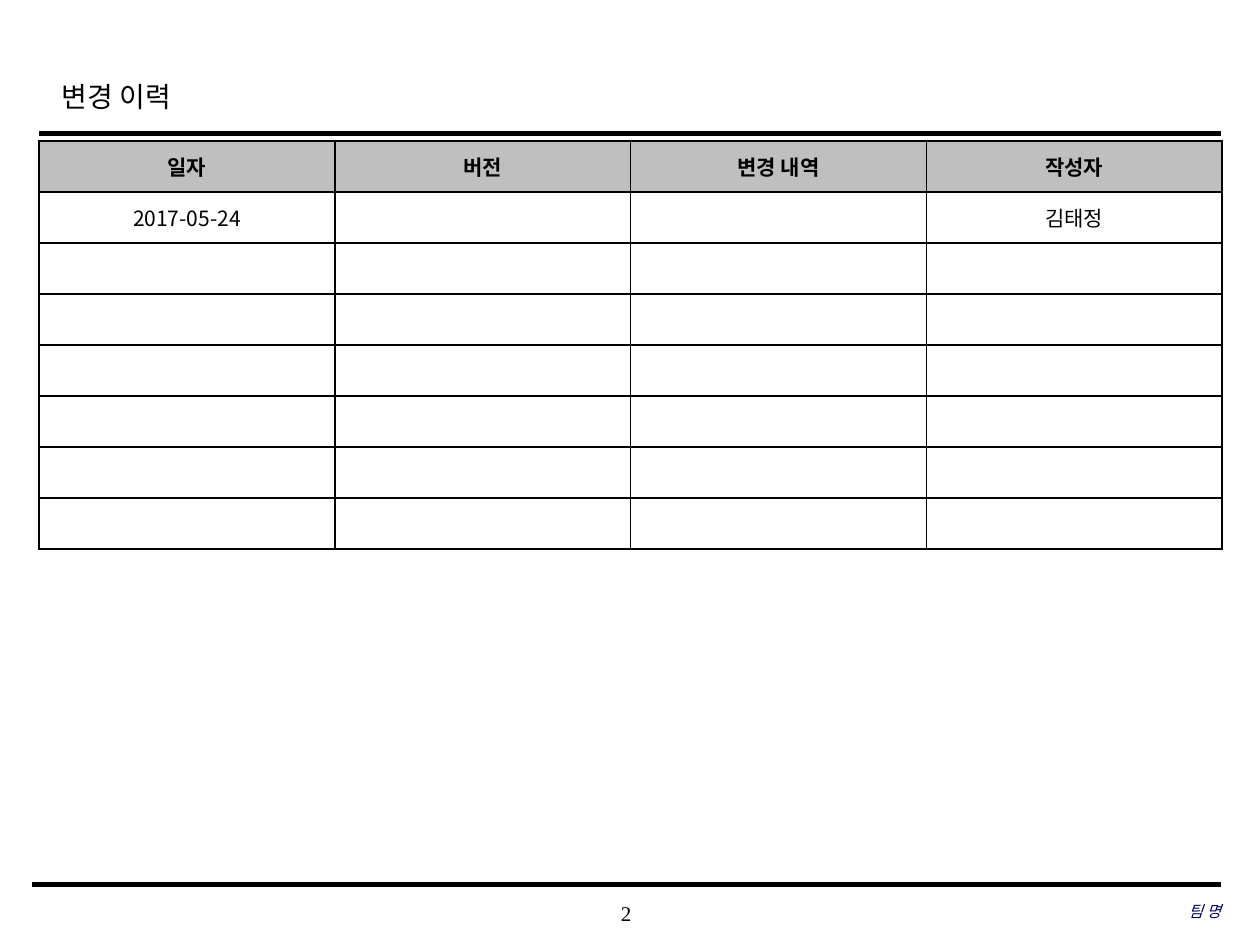
import pptx
import pptx.util
import pptx.dml.color
import pptx.enum.text
import pptx.enum.shapes
import pptx.oxml.ns
import lxml.etree

Inches = pptx.util.Inches
Pt = pptx.util.Pt
RGBColor = pptx.dml.color.RGBColor
Align = pptx.enum.text.PP_ALIGN
Middle = pptx.enum.text.MSO_ANCHOR.MIDDLE
qn = pptx.oxml.ns.qn

BLACK = RGBColor(0, 0, 0)
WHITE = RGBColor(255, 255, 255)
GREY = RGBColor(0xBF, 0xBF, 0xBF)
NAVY = RGBColor(0, 0, 0x66)
SERIF = "Times New Roman"
SANS = "Noto Sans CJK KR"

HEADS = ["일자", "버전", "변경 내역", "작성자"]
LOG = [["2017-05-24", "", "", "김태정"]]
ROWS = 8


def add_run(para, text, size, face=SERIF, color=BLACK, bold=False, italic=False):
    """Add one styled run, with the sans face for Korean letters."""
    run = para.add_run()
    run.text = text
    font = run.font
    font.size, font.name = Pt(size), face
    font.bold, font.italic = bold, italic
    font.color.rgb = color
    east = lxml.etree.Element(qn("a:ea"), typeface=SANS)
    run.font._element.find(qn("a:latin")).addnext(east)


def add_rule(slide, left, top, right, width):
    """Draw a black level line."""
    kind = pptx.enum.shapes.MSO_CONNECTOR.STRAIGHT
    rule = slide.shapes.add_connector(
        kind, Inches(left), Inches(top), Inches(right), Inches(top))
    rule.line.color.rgb = BLACK
    rule.line.width = Pt(width)
    lxml.etree.SubElement(rule._element.spPr, qn("a:effectLst"))


def add_title(slide, left, top, width, height):
    """Place the title with the rule under it."""
    title = slide.shapes.title
    title.left, title.top = Inches(left), Inches(top)
    title.width, title.height = Inches(width), Inches(height)
    frame = title.text_frame
    frame.auto_size = pptx.enum.text.MSO_AUTO_SIZE.NONE
    frame.vertical_anchor = Middle
    para = frame.paragraphs[0]
    para.alignment = Align.LEFT
    para.line_spacing = 1.2
    add_run(para, "변경 이력", 16)
    add_rule(slide, 0.31, top + 0.57, 9.69, 2.5)


def add_edges(cell):
    """Give a cell thin black borders."""
    props = cell._tc.get_or_add_tcPr()
    for side in ("lnL", "lnR", "lnT", "lnB"):
        edge = lxml.etree.SubElement(props, qn("a:" + side), w=str(Pt(1)))
        fill = lxml.etree.SubElement(edge, qn("a:solidFill"))
        lxml.etree.SubElement(fill, qn("a:srgbClr"), val=str(BLACK))


def add_log(slide, left, top, width, height):
    """Place the table of changes."""
    table = slide.shapes.add_table(
        ROWS, len(HEADS), Inches(left), Inches(top),
        Inches(width), Inches(height)).table
    blank = [[""] * len(HEADS)] * (ROWS - 1 - len(LOG))
    for i, texts in enumerate([HEADS] + LOG + blank):
        for j, text in enumerate(texts):
            cell = table.cell(i, j)
            add_edges(cell)
            cell.fill.solid()
            cell.fill.fore_color.rgb = WHITE if i else GREY
            cell.vertical_anchor = Middle
            cell.margin_top = cell.margin_bottom = Inches(0.03)
            para = cell.text_frame.paragraphs[0]
            para.alignment = Align.CENTER
            if text:
                add_run(para, text, 12, SANS, bold=i == 0)


def add_note(slide, left, top, width, height, align):
    """Add a text box without insets and return its paragraph."""
    box = slide.shapes.add_textbox(
        Inches(left), Inches(top), Inches(width), Inches(height))
    frame = box.text_frame
    frame.word_wrap = True
    frame.vertical_anchor = Middle
    frame.margin_left = frame.margin_right = 0
    frame.margin_top = frame.margin_bottom = 0
    para = frame.paragraphs[0]
    para.alignment = align
    return para


def add_foot(slide, left, top, width, height):
    """Place the bottom rule, page number and team name."""
    right = left + width
    add_rule(slide, left, top, right, 3)
    page = add_note(slide, 3.93, top + 0.06, 2.08, height, Align.CENTER)
    add_run(page, "2", 12)
    team = add_note(slide, right - 3.06, top + 0.05, 3.06, height, Align.RIGHT)
    add_run(team, "팀 명", 9, color=NAVY, italic=True)


def main():
    """Build and save the slide."""
    deck = pptx.Presentation()
    deck.slide_width, deck.slide_height = Inches(10), Inches(7.5)
    slide = deck.slides.add_slide(deck.slide_layouts[5])
    add_title(slide, 0.39, 0.49, 7.55, 0.5)
    add_log(slide, 0.31, 1.12, 9.39, 3.24)
    add_foot(slide, 0.25, 7.02, 9.44, 0.33)
    deck.save("out.pptx")


if __name__ == "__main__":
    main()
